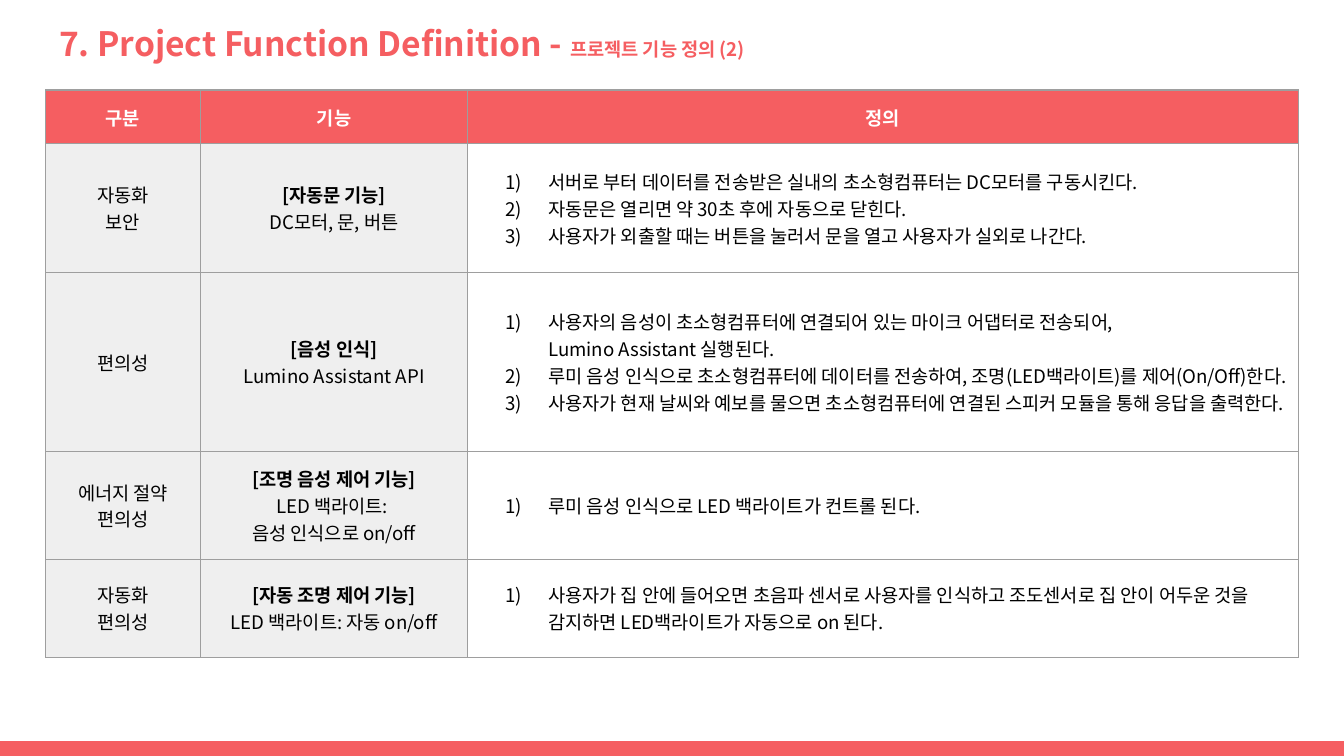
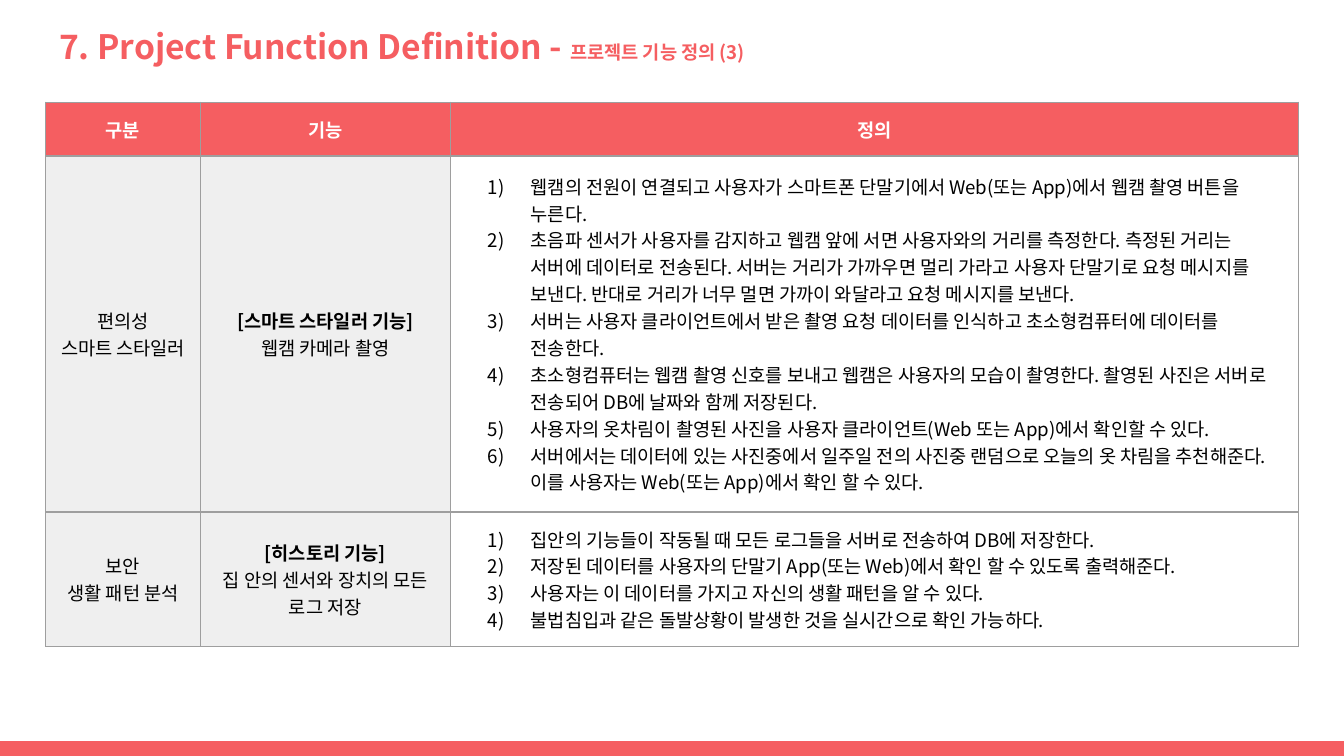
from lxml import etree
from pptx import Presentation
from pptx import util as u
from pptx.dml.color import RGBColor
from pptx.enum import shapes, text
from pptx.oxml.ns import qn

# Shared look
W = 10
H = W * 9 / 16
LEFT, WIDE = 0.34, 9.32
BAND = 0.11
FONT = "Noto Sans CJK KR"
RED, GREY, LINE = "F55E61", "EFEFEF", "9E9E9E"
BLACK, WHITE = "000000", "FFFFFF"
TITLE = "7. Project Function Definition - "
HEAD = ["구분", "기능", "정의"]

# Content: each row is kind, function (name first), numbered steps;
# a line break inside a step starts an unnumbered line.
# Heights are minimums: rows grow with their text.
PAGES = [
    dict(
        sub="프로젝트 기능 정의 (2)", top=0.07, table=0.67,
        cols=[1.15, 1.99], heights=[0.27, 0.96, 1.33, 0.73, 0.73],
        rows=[
            (["자동화", "보안"],
             ["[자동문 기능]", "DC모터, 문, 버튼"],
             ["서버로 부터 데이터를 전송받은 실내의 초소형컴퓨터는 DC모터를 구동시킨다.",
              "자동문은 열리면 약 30초 후에 자동으로 닫힌다.",
              "사용자가 외출할 때는 버튼을 눌러서 문을 열고 사용자가 실외로 나간다."]),
            (["편의성"],
             ["[음성 인식]", "Lumino Assistant API"],
             ["사용자의 음성이 초소형컴퓨터에 연결되어 있는 마이크 어댑터로 전송되어,\n"
              "Lumino Assistant 실행된다.",
              "루미 음성 인식으로 초소형컴퓨터에 데이터를 전송하여, "
              "조명(LED백라이트)를 제어(On/Off)한다.",
              "사용자가 현재 날씨와 예보를 물으면 초소형컴퓨터에 연결된 "
              "스피커 모듈을 통해 응답을 출력한다."]),
            (["에너지 절약", "편의성"],
             ["[조명 음성 제어 기능]", "LED 백라이트: ", "음성 인식으로 on/off"],
             ["루미 음성 인식으로 LED 백라이트가 컨트롤 된다."]),
            (["자동화", "편의성"],
             ["[자동 조명 제어 기능]", "LED 백라이트: 자동 on/off"],
             ["사용자가 집 안에 들어오면 초음파 센서로 사용자를 인식하고 "
              "조도센서로 집 안이 어두운 것을 감지하면 LED백라이트가 자동으로 on 된다."]),
        ]),
    dict(
        sub="프로젝트 기능 정의 (3)", top=0.09, table=0.76,
        cols=[1.15, 1.86], heights=[0.32, 2.65, 0.73],
        rows=[
            (["편의성", "스마트 스타일러"],
             ["[스마트 스타일러 기능]", "웹캠 카메라 촬영"],
             ["웹캠의 전원이 연결되고 사용자가 스마트폰 단말기에서 "
              "Web(또는 App)에서 웹캠 촬영 버튼을 누른다.",
              "초음파 센서가 사용자를 감지하고 웹캠 앞에 서면 사용자와의 거리를 측정한다. "
              "측정된 거리는 서버에 데이터로 전송된다. "
              "서버는 거리가 가까우면 멀리 가라고 사용자 단말기로 요청 메시지를 보낸다. "
              "반대로 거리가 너무 멀면 가까이 와달라고 요청 메시지를 보낸다.",
              "서버는 사용자 클라이언트에서 받은 촬영 요청 데이터를 인식하고 "
              "초소형컴퓨터에 데이터를 전송한다.",
              "초소형컴퓨터는 웹캠 촬영 신호를 보내고 웹캠은 사용자의 모습이 촬영한다. "
              "촬영된 사진은 서버로 전송되어 DB에 날짜와 함께 저장된다.",
              "사용자의 옷차림이 촬영된 사진을 사용자 클라이언트(Web 또는 App)에서 "
              "확인할 수 있다.",
              "서버에서는 데이터에 있는 사진중에서 일주일 전의 사진중 랜덤으로 "
              "오늘의 옷 차림을 추천해준다. "
              "이를 사용자는 Web(또는 App)에서 확인 할 수 있다."]),
            (["보안", "생활 패턴 분석"],
             ["[히스토리 기능]", "집 안의 센서와 장치의 모든 로그 저장"],
             ["집안의 기능들이 작동될 때 모든 로그들을 서버로 전송하여 DB에 저장한다.",
              "저장된 데이터를 사용자의 단말기 App(또는 Web)에서 "
              "확인 할 수 있도록 출력해준다.",
              "사용자는 이 데이터를 가지고 자신의 생활 패턴을 알 수 있다.",
              "불법침입과 같은 돌발상황이 발생한 것을 실시간으로 확인 가능하다."]),
        ]),
]


def color(code):
    return RGBColor.from_string(code)


def write(para, words, size=10, ink=BLACK, bold=False):
    run = para.add_run()
    run.text = words
    font = run.font
    font.name, font.size, font.bold = FONT, u.Pt(size), bold
    font.color.rgb = color(ink)
    props = run._r.get_or_add_rPr()
    props.set("kern", "0")
    etree.SubElement(props, qn("a:ea"), typeface=FONT)


def solid(parent, code):
    etree.SubElement(parent, qn("a:srgbClr"), val=code)


def indent(para, number):
    """Hang a step from its number, or only indent it."""
    props = para._p.get_or_add_pPr()
    props.set("marL", str(u.Inches(0.5)))
    props.set("indent", str(u.Inches(-0.32 if number else 0)))
    if number:
        solid(etree.SubElement(props, qn("a:buClr")), BLACK)
        etree.SubElement(props, qn("a:buAutoNum"), type="arabicParenR")
    else:
        etree.SubElement(props, qn("a:buNone"))


def border(cell):
    props = cell._tc.get_or_add_tcPr()
    for side in "LRTB":
        line = etree.SubElement(props, qn("a:ln" + side), w=str(u.Pt(0.75)))
        solid(etree.SubElement(line, qn("a:solidFill")), LINE)


def inset(box):
    box.margin_left = box.margin_right = u.Inches(0.1)
    box.margin_top = box.margin_bottom = u.Inches(0.1)


def style(cell, fill=None):
    inset(cell)
    cell.vertical_anchor = text.MSO_ANCHOR.MIDDLE
    border(cell)
    if fill:
        cell.fill.solid()
        cell.fill.fore_color.rgb = color(fill)
    else:
        cell.fill.background()


def paras(frame, count):
    return [frame.paragraphs[0]] + [frame.add_paragraph() for _ in range(count - 1)]


def label(cell, lines, fill, ink=BLACK, lead=False):
    """Centred lines; lead makes the first one bold."""
    style(cell, fill)
    for i, (para, line) in enumerate(zip(paras(cell.text_frame, len(lines)), lines)):
        para.alignment = text.PP_ALIGN.CENTER
        write(para, line, ink=ink, bold=lead and i == 0)


def steps(cell, items):
    style(cell)
    lines = [(part, i == 0) for item in items
             for i, part in enumerate(item.split("\n"))]
    for para, (line, number) in zip(paras(cell.text_frame, len(lines)), lines):
        indent(para, number)
        write(para, line)


def title(slide, page):
    box = slide.shapes.title
    box.left, box.top = u.Inches(LEFT), u.Inches(page["top"])
    box.width, box.height = u.Inches(WIDE), u.Inches(0.6)
    frame = box.text_frame
    inset(frame)
    frame.auto_size = text.MSO_AUTO_SIZE.NONE
    frame.vertical_anchor = text.MSO_ANCHOR.TOP
    para = frame.paragraphs[0]
    para.alignment = text.PP_ALIGN.LEFT
    write(para, TITLE, size=18, ink=RED, bold=True)
    write(para, page["sub"], ink=RED, bold=True)


def grid(slide, page):
    cols = page["cols"] + [WIDE - sum(page["cols"])]
    highs = page["heights"]
    table = slide.shapes.add_table(
        len(highs), len(cols), u.Inches(LEFT), u.Inches(page["table"]),
        u.Inches(WIDE), u.Inches(sum(highs))).table
    table.first_row = table.horz_banding = False
    for col, width in zip(table.columns, cols):
        col.width = u.Inches(width)
    for row, high in zip(table.rows, highs):
        row.height = u.Inches(high)
    for cell, name in zip(table.rows[0].cells, HEAD):
        label(cell, [name], RED, ink=WHITE, lead=True)
    for r, (kind, task, items) in enumerate(page["rows"], 1):
        label(table.cell(r, 0), kind, GREY)
        label(table.cell(r, 1), task, GREY, lead=True)
        steps(table.cell(r, 2), items)


def band(slide, master):
    """Draw the foot band once and keep it on the master."""
    bar = slide.shapes.add_shape(
        shapes.MSO_SHAPE.RECTANGLE, 0, u.Inches(H - BAND), u.Inches(W), u.Inches(BAND))
    bar.shadow.inherit = False
    bar.fill.solid()
    bar.fill.fore_color.rgb = color(RED)
    bar.line.fill.background()
    master.element.cSld.spTree.append(bar.element)


def main():
    deck = Presentation()
    deck.slide_width, deck.slide_height = u.Inches(W), u.Inches(H)
    for i, page in enumerate(PAGES):
        slide = deck.slides.add_slide(deck.slide_layouts[5])
        if i == 0:
            band(slide, deck.slide_master)
        title(slide, page)
        grid(slide, page)
    deck.save("out.pptx")


if __name__ == "__main__":
    main()
